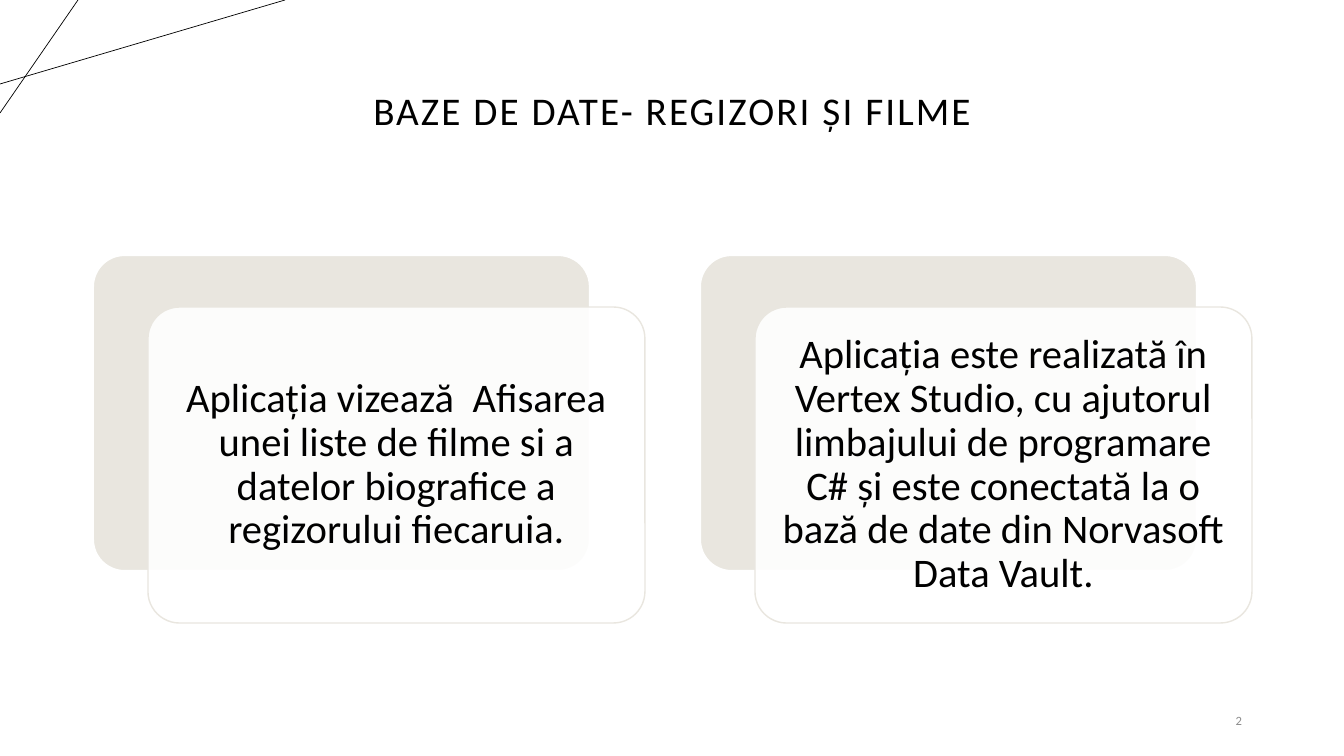
from lxml.etree import SubElement
from pptx import Presentation
from pptx.dml.color import RGBColor
from pptx.enum.shapes import MSO_CONNECTOR, MSO_SHAPE
from pptx.enum.text import MSO_ANCHOR, PP_ALIGN
from pptx.oxml.ns import qn
from pptx.util import Pt

PX = 12192000 / 1344
COLORS = {
    "ink": "000000",
    "grey": "8C8C8C",
    "sand": "E9E6DF",
    "white": "FFFFFF",
}
CARDS = [
    "Aplicația vizează  Afisarea unei liste de filme si a datelor biografice "
    "a regizorului fiecaruia.",
    "Aplicația este realizată în Vertex Studio, cu ajutorul limbajului de "
    "programare C# și este conectată la o bază de date din Norvasoft Data Vault.",
]


def px(*nums):
    return [round(n * PX) for n in nums]


def write(shape, text, size, color="ink", align=PP_ALIGN.CENTER, inset=(10, 5),
          line=None, after=None, track=None):
    """Fill a shape with one paragraph; inset is (sides, top and bottom)."""
    frame = shape.text_frame
    frame.word_wrap = True
    frame.vertical_anchor = MSO_ANCHOR.MIDDLE
    frame.margin_left = frame.margin_right = px(inset[0])[0]
    frame.margin_top = frame.margin_bottom = px(inset[1])[0]
    para = frame.paragraphs[0]
    para.alignment = align
    para.line_spacing = line
    para.space_after = after
    run = para.add_run()
    run.text = text
    run.font.name = "Calibri"
    run.font.size = Pt(size)
    run.font.color.rgb = RGBColor.from_string(COLORS[color])
    if track:
        run.font._element.set("spc", str(track))


deck = Presentation()
deck.slide_width, deck.slide_height = px(1344, 756)
slide = deck.slides.add_slide(deck.slide_layouts[5])
shapes = slide.shapes

# Corner lines
for ends in [(0, 84, 285, 0), (78, 0, 0, 113)]:
    line = shapes.add_connector(MSO_CONNECTOR.STRAIGHT, *px(*ends))
    line.line.color.rgb = RGBColor.from_string(COLORS["ink"])
    line.line.width = Pt(0.5)
    SubElement(line._element.spPr, qn("a:effectLst"))

# Title
title = shapes.title
title.left, title.top, title.width, title.height = px(93, 40, 1159, 146)
write(title, "BAZE DE DATE- REGIZORI ȘI FILME", 28, line=0.9, track=150)

# Page number
number = shapes.add_textbox(*px(950, 701, 302, 40))
write(number, "2", 9, color="grey", align=PP_ALIGN.RIGHT, after=Pt(6))

# Cards: a sand panel with a translucent white one shifted over it
for i, text in enumerate(CARDS):
    left = 93 + 607 * i
    for dx, dy, fill, edge, width in [
        (0, 0, "sand", "white", 1.5),
        (55, 52, "white", "sand", 1),
    ]:
        card = shapes.add_shape(MSO_SHAPE.ROUNDED_RECTANGLE,
                                *px(left + dx, 255 + dy, 497, 316))
        card.adjustments[0] = 0.1
        card.shadow.inherit = False
        card.fill.solid()
        card.fill.fore_color.rgb = RGBColor.from_string(COLORS[fill])
        card.line.color.rgb = RGBColor.from_string(COLORS[edge])
        card.line.width = Pt(width)
    tint = card._element.spPr.find(qn("a:solidFill"))[0]
    SubElement(tint, qn("a:alpha"), val="90000")
    write(card, text, 29, inset=(12, 12), line=0.9)

deck.save("out.pptx")
